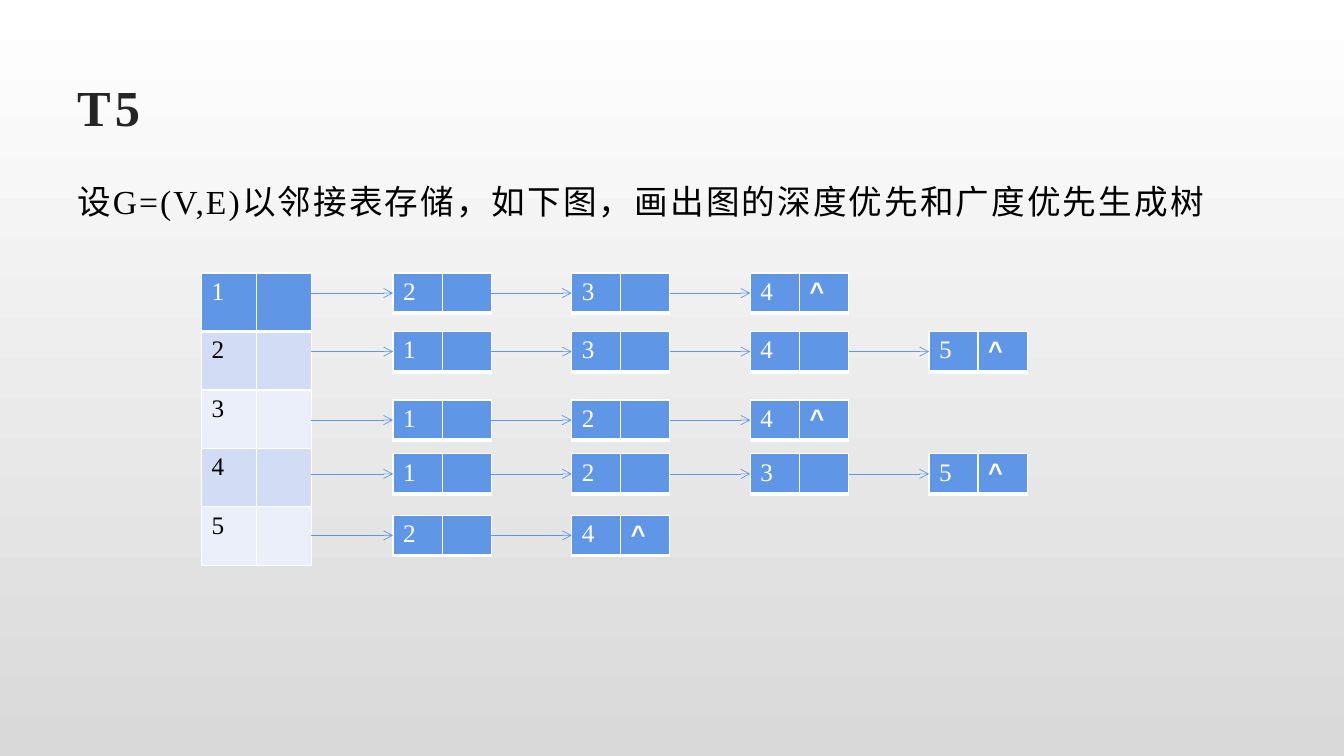
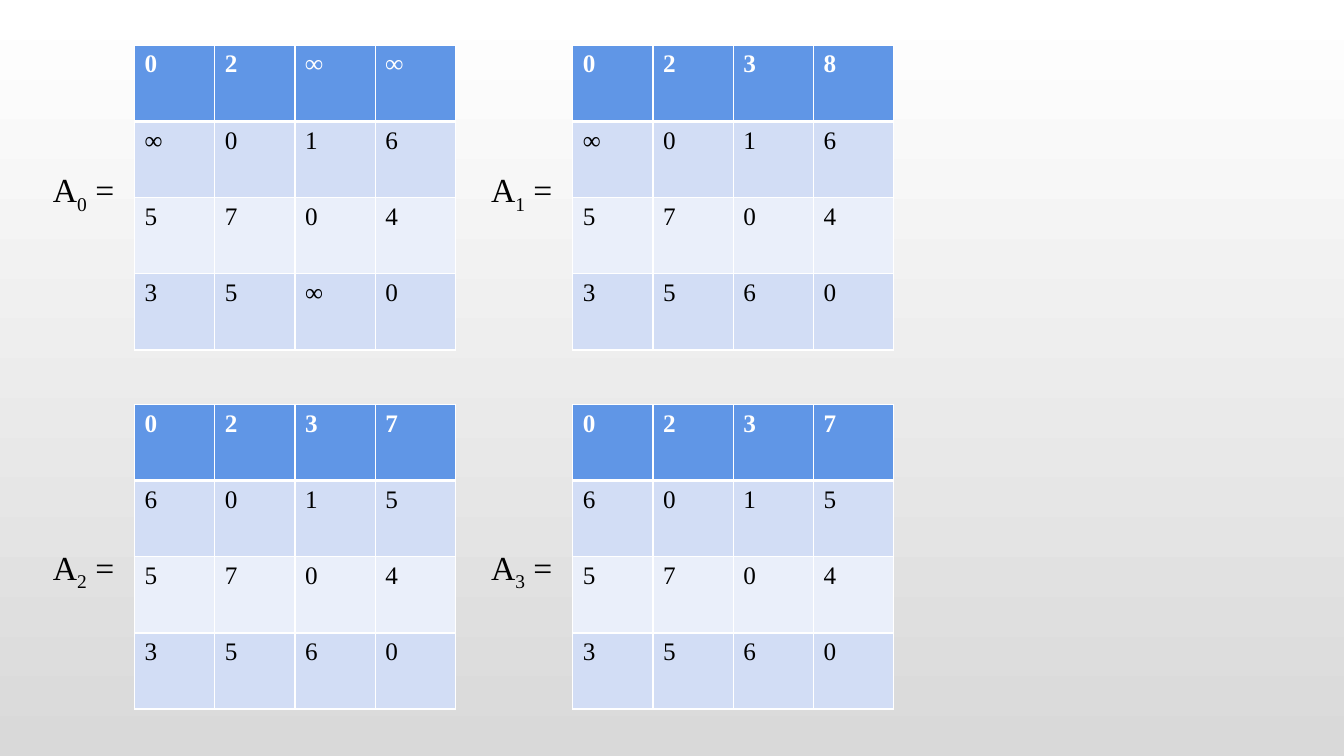
from dataclasses import dataclass

from lxml import etree
from pptx import Presentation, util as u
from pptx.dml.color import RGBColor
from pptx.enum import shapes, text
from pptx.oxml import ns


@dataclass(frozen=True)
class Theme:
    serif: str = "Times New Roman"
    sans: str = "Arial"
    head: str = "262626"
    ink: str = "000000"
    white: str = "FFFFFF"
    grey: str = "D9D9D9"
    blue: str = "6096E6"
    bands: tuple = ("EAEFFA", "D2DDF5")
    title: int = 36
    body: int = 24
    cell: int = 18


@dataclass(frozen=True)
class Box:
    x: float
    y: float
    w: float
    h: float

    def area(self, x, y, w, h):
        """Box given as percentages of this one."""
        return Box(self.x + x * self.w / 100, self.y + y * self.h / 100,
                   w * self.w / 100, h * self.h / 100)

    def emu(self):
        return [u.Inches(v) for v in (self.x, self.y, self.w, self.h)]


T = Theme()
PAGE = Box(0, 0, 13.33, 7.5)
END = "^"


# Shared text, table and line styles
def style(run, size, color=T.ink, bold=False, font=T.serif, **attrs):
    run.font.size = u.Pt(size)
    run.font.name = font
    run.font.bold = bold
    run.font.color.rgb = RGBColor.from_string(color)
    for key, val in attrs.items():
        run._r.get_or_add_rPr().set(key, str(val))


def add_text(slide, box, words):
    frame = slide.shapes.add_textbox(*box.emu()).text_frame
    frame.word_wrap = True
    par = frame.paragraphs[0]
    par.text = words
    return frame, par


def add_edge(cell, side, width):
    props = cell._tc.get_or_add_tcPr()
    line = etree.SubElement(props, ns.qn("a:ln" + side), w=str(u.Pt(width)))
    fill = etree.SubElement(line, ns.qn("a:solidFill"))
    etree.SubElement(fill, ns.qn("a:srgbClr"), val=T.white)


def add_grid(slide, box, rows, bold=False):
    """Table with a blue first row and banded rows below it."""
    frame = slide.shapes.add_table(len(rows), len(rows[0]), *box.emu())
    table = frame.table
    table.first_row = table.horz_banding = False
    for r, row in enumerate(rows):
        for c, word in enumerate(row):
            cell = table.cell(r, c)
            cell.margin_bottom = 0
            for side in "LRTB":
                thick = (side, r) in (("B", 0), ("T", 1))
                add_edge(cell, side, 3 if thick else 1)
            cell.fill.solid()
            cell.fill.fore_color.rgb = RGBColor.from_string(
                T.bands[r % 2] if r else T.blue)
            par = cell.text_frame.paragraphs[0]
            par.text = word
            for run in par.runs:
                mark = word == END
                style(run, T.cell, T.ink if r else T.white,
                      mark or (bold and r == 0), T.sans if mark else T.serif)


def add_arrow(slide, x1, x2, y):
    ends = [u.Inches(v) for v in (x1, y, x2, y)]
    line = slide.shapes.add_connector(shapes.MSO_CONNECTOR.STRAIGHT, *ends)
    line.line.color.rgb = RGBColor.from_string(T.blue)
    line.line.width = u.Pt(0.5)
    etree.SubElement(line.line._get_or_add_ln(), ns.qn("a:tailEnd"),
                     type="arrow")
    etree.SubElement(line._element.spPr, ns.qn("a:effectLst"))


# Regions
def add_head(slide, box, words):
    frame, par = add_text(slide, box, words)
    frame.vertical_anchor = text.MSO_ANCHOR.MIDDLE
    style(par.runs[0], T.title, T.head, True, spc=300)


def add_body(slide, box, words):
    par = add_text(slide, box, words)[1]
    par.line_spacing = 1.3
    par.space_after = u.Pt(10)
    style(par.runs[0], T.body, spc=150)


def add_lists(slide, box, chains):
    """Vertex column with one linked chain of nodes for each vertex."""
    wide, start, step = 13.3, 23.2, 21.65
    node_w, node_h = 11.9, 13.8
    tops = (0, 20, 43.4, 61.8, 82.8)
    column = box.area(0, 0, wide, 100)
    add_grid(slide, column,
             [(str(n), "") for n in range(1, len(chains) + 1)])
    for top, chain in zip(tops, chains):
        tail = column.x + column.w
        for n, name in enumerate(chain, 1):
            node = box.area(start + (n - 1) * step, top, node_w, node_h)
            add_grid(slide, node, [(name, END if n == len(chain) else "")])
            add_arrow(slide, tail, node.x, node.y + node.h / 2)
            tail = node.x + node.w


def add_matrix(slide, box, index, rows, drop):
    """Label such as A0 = beside a matrix; drop is the label's top."""
    split = 22.2
    par = add_text(slide, box.area(0, drop, split, 17), "A")[1]
    par.add_run().text = str(index)
    par.add_run().text = " ="
    for run, base in zip(par.runs, (0, -25000, 0)):
        style(run, T.body, baseline=base)
    add_grid(slide, box.area(split, 0, 100 - split, 100), rows, True)


# Slides
def list_slide(slide):
    add_head(slide, PAGE.area(5, 9, 90, 10), "T5")
    add_body(slide, PAGE.area(5, 21.7, 90, 69.3),
             "设G=(V,E)以邻接表存储，如下图，画出图的深度优先和广度优先生成树")
    add_lists(slide, PAGE.area(15, 36.1, 61.4, 38.7),
              ("234", "1345", "124", "1235", "24"))


def matrix_slide(slide):
    mats = (
        ("02∞∞", "∞016", "5704", "35∞0"),
        ("0238", "∞016", "5704", "3560"),
        ("0237", "6015", "5704", "3560"),
        ("0237", "6015", "5704", "3560"),
    )
    drops = (39, 45)
    for n, rows in enumerate(mats):
        r, c = divmod(n, 2)
        box = PAGE.area(3.2 + c * 32.6, 6 + r * 47.5, 30.7, 40.3)
        add_matrix(slide, box, n, rows, drops[r])


def main():
    prs = Presentation()
    prs.slide_width, prs.slide_height = u.Inches(PAGE.w), u.Inches(PAGE.h)
    # Shared backdrop
    fill = prs.slide_master.background.fill
    fill.gradient()
    fill.gradient_angle = 270
    for stop, color in zip(fill.gradient_stops, (T.white, T.grey)):
        stop.color.rgb = RGBColor.from_string(color)
    for build in (list_slide, matrix_slide):
        build(prs.slides.add_slide(prs.slide_layouts[6]))
    prs.save("out.pptx")


if __name__ == "__main__":
    main()
